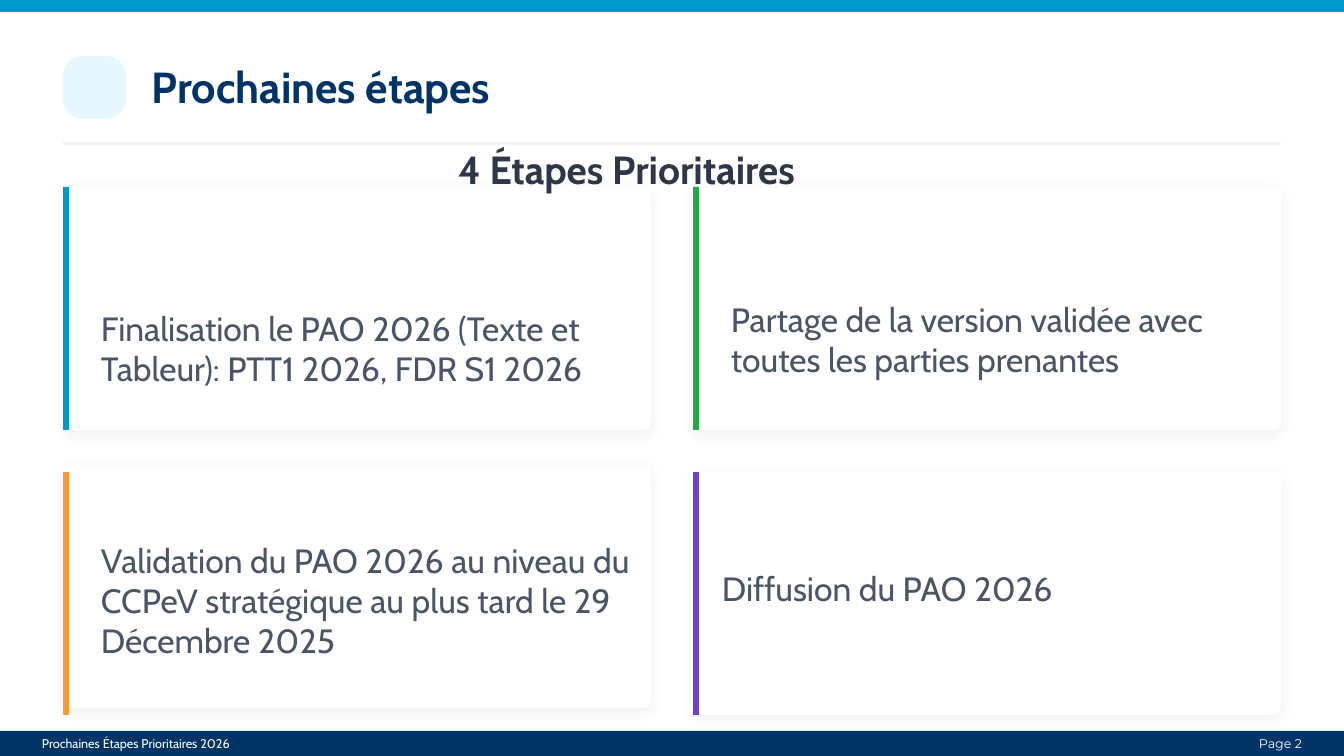
"""Build the slide listing the four priority next steps of the PAO 2026."""
from lxml.etree import SubElement
from pptx import Presentation
from pptx.dml.color import RGBColor
from pptx.enum.shapes import MSO_SHAPE
from pptx.enum.text import MSO_ANCHOR, PP_ALIGN
from pptx.oxml.ns import qn
from pptx.util import Emu, Pt

COLORS = {
    "white": "FFFFFF",
    "cyan": "0099CC",
    "navy": "003366",
    "rule": "F0F4F8",
    "badge": "E6F7FF",
    "green": "28A745",
    "orange": "FF9933",
    "purple": "6F42C1",
    "heading": "2D3748",
    "body": "4A5568",
    "shadow": "000000",
}
EMU_PER_PX = 914400 / 100.8
WIDTH, HEIGHT = 1344, 756


def px(length):
    return Emu(round(length * EMU_PER_PX))


class SlideBuilder:
    def __init__(self, slide, font="Cabin"):
        self.slide = slide
        self.font = font

    def block(self, left, top, width, height, color, radius=None):
        kind = MSO_SHAPE.RECTANGLE if radius is None else MSO_SHAPE.ROUNDED_RECTANGLE
        block = self.slide.shapes.add_shape(kind, px(left), px(top), px(width), px(height))
        if radius is not None:
            block.adjustments[0] = radius
        block.shadow.inherit = False
        block.fill.solid()
        block.fill.fore_color.rgb = RGBColor.from_string(COLORS[color])
        block.line.fill.background()
        return block

    def card(self, left, top, width, height):
        card = self.block(left, top, width, height, "white", radius=0.03)
        effects = card._element.spPr.find(qn("a:effectLst"))
        shadow = SubElement(effects, qn("a:outerShdw"), blurRad=str(Pt(11)),
                            dist=str(Pt(3)), dir="5400000", algn="ctr", rotWithShape="0")
        tint = SubElement(shadow, qn("a:srgbClr"), val=COLORS["shadow"])
        SubElement(tint, qn("a:alpha"), val="5000")

    def text(self, box, wording, size, color, bold=False, align=PP_ALIGN.LEFT, font=None):
        frame = self.slide.shapes.add_textbox(*map(px, box)).text_frame
        frame.word_wrap = True
        frame.vertical_anchor = MSO_ANCHOR.MIDDLE
        frame.margin_left = frame.margin_right = frame.margin_top = frame.margin_bottom = 0
        paragraph = frame.paragraphs[0]
        paragraph.text = wording
        paragraph.alignment = align
        paragraph.font.name = font or self.font
        paragraph.font.size = Pt(size)
        paragraph.font.bold = bold
        paragraph.font.color.rgb = RGBColor.from_string(COLORS[color])


def main():
    deck = Presentation()
    deck.slide_width, deck.slide_height = px(WIDTH), px(HEIGHT)
    page = SlideBuilder(deck.slides.add_slide(deck.slide_layouts[6]))

    page.block(0, 0, WIDTH, HEIGHT, "white")
    page.block(0, 0, WIDTH, 12, "cyan")
    page.block(63, 142, 1218, 3, "rule")
    page.block(63, 56, 63, 63, "badge", radius=0.32)

    steps = [
        ("cyan", 0, (101, 289, 526, 118),
         "Finalisation le PAO 2026 (Texte et Tableur): PTT1 2026, FDR S1 2026"),
        ("green", 0, (731, 266, 500, 146),
         "Partage de la version validée avec toutes les parties prenantes"),
        ("orange", 7, (101, 502, 557, 196),
         "Validation du PAO 2026 au niveau du CCPeV stratégique au plus tard le 29 Décembre 2025"),
        ("purple", 0, (722, 529, 559, 118), "Diffusion du PAO 2026"),
    ]
    for index, (accent, lift, box, wording) in enumerate(steps):
        row, column = divmod(index, 2)
        left, top = 63 + 630 * column, 187 + 285 * row
        page.card(left, top - lift, 588, 243)
        page.block(left, top, 6, 243, accent)
        page.text(box, wording, 24, "body")

    page.text((152, 59, 517, 54), "Prochaines étapes", 31, "navy", bold=True)
    page.text((320, 151, 613, 35), "4 Étapes Prioritaires", 28, "heading",
              bold=True, align=PP_ALIGN.CENTER)

    page.block(0, 731, WIDTH, 25, "navy")
    page.text((42, 735, 231, 16), "Prochaines Étapes Prioritaires 2026", 9, "white")
    page.text((1259, 735, 52, 16), "Page 2", 9, "white", font="Montserrat")

    deck.save("out.pptx")


if __name__ == "__main__":
    main()
